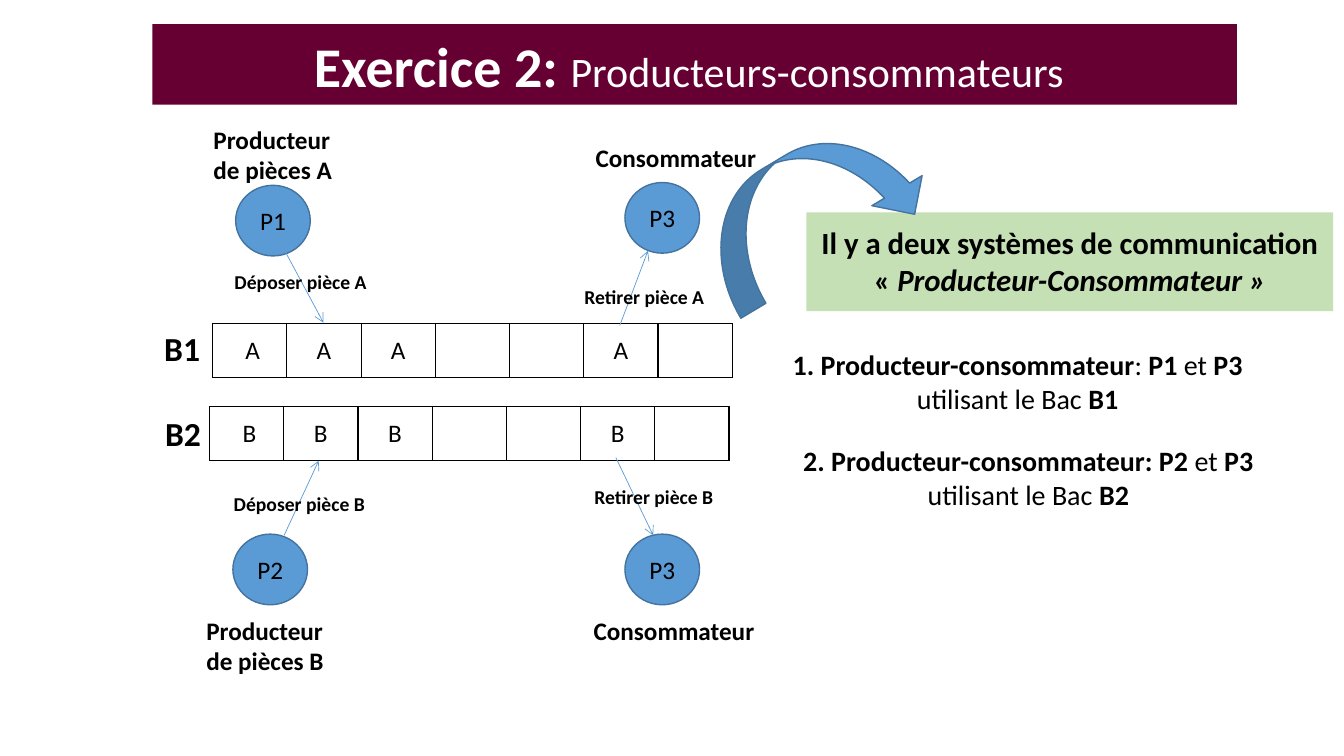
from lxml import etree
from pptx import Presentation
from pptx import util as u
from pptx.dml.color import RGBColor
from pptx.enum import shapes, text
from pptx.oxml import ns


def rgb(value):
    """Turn a hex string into a colour."""
    return RGBColor.from_string(value)


def add_xml(parent, tag, **attrs):
    """Append a DrawingML child element."""
    return etree.SubElement(parent, ns.qn(tag), attrs)


class Board:
    """Hold the style and the current slide."""

    FONT, INK, WHITE = "Calibri", "000000", "FFFFFF"
    BLUE, EDGE, GREEN, PLUM = "5B9BD5", "43739E", "C5E0B4", "660033"

    def __init__(self, slide):
        """Keep the slide to draw on."""
        self.s = slide

    def add_runs(self, tf, runs, size, align=None, color=INK):
        """Put (text, style, size) runs into the first paragraph."""
        tf.word_wrap = True
        p = tf.paragraphs[0]
        p.alignment = align
        for content, style, *own_size in runs:
            r = p.add_run()
            r.text = content
            r.font.name = self.FONT
            r.font.size = u.Pt(own_size[0] if own_size else size)
            r.font.bold = "b" in style
            r.font.italic = "i" in style
            r.font.color.rgb = rgb(color)
        return p

    def title(self, box, runs):
        """Fill the title placeholder as a coloured banner."""
        sp = self.s.shapes.title
        sp.left, sp.top, sp.width, sp.height = map(u.Cm, box)
        sp.fill.solid()
        sp.fill.fore_color.rgb = rgb(self.PLUM)
        tf = sp.text_frame
        tf.auto_size = text.MSO_AUTO_SIZE.NONE
        tf.vertical_anchor = text.MSO_ANCHOR.BOTTOM
        p = self.add_runs(tf, runs, 40, text.PP_ALIGN.CENTER, self.WHITE)
        p.line_spacing = 0.9

    def label(self, box, runs, size, align=text.PP_ALIGN.LEFT):
        """Add a text box."""
        sp = self.s.shapes.add_textbox(*map(u.Cm, box))
        self.add_runs(sp.text_frame, runs, size, align)

    def shape(self, kind, box, fill, edge=None):
        """Add a filled preset shape."""
        sp = self.s.shapes.add_shape(kind, *map(u.Cm, box))
        sp.shadow.inherit = False
        sp.fill.solid()
        sp.fill.fore_color.rgb = rgb(fill)
        if edge:
            sp.line.color.rgb = rgb(edge)
            sp.line.width = u.Pt(1)
        else:
            sp.line.fill.background()
        return sp

    def process(self, name, left, top):
        """Add a process circle."""
        sp = self.shape(shapes.MSO_SHAPE.OVAL, (left, top, 1.88, 1.78), self.BLUE, self.EDGE)
        tf = sp.text_frame
        tf.margin_left = tf.margin_right = 0
        tf.vertical_anchor = text.MSO_ANCHOR.MIDDLE
        self.add_runs(tf, [(name, "")], 18, text.PP_ALIGN.CENTER)

    def callout(self, box, runs):
        """Add the highlighted statement."""
        sp = self.shape(shapes.MSO_SHAPE.RECTANGLE, box, self.GREEN)
        tf = sp.text_frame
        tf.margin_top = tf.margin_bottom = u.Cm(0.3)
        tf.vertical_anchor = text.MSO_ANCHOR.TOP
        self.add_runs(tf, runs, 22, text.PP_ALIGN.CENTER).space_before = u.Pt(6)

    def turn_arrow(self, box, angle):
        """Add a rotated curved arrow."""
        sp = self.shape(shapes.MSO_SHAPE.CURVED_DOWN_ARROW, box, self.BLUE, self.EDGE)
        sp.rotation = angle

    def arrow(self, x1, y1, x2, y2):
        """Add a thin line with an open arrowhead."""
        c = self.s.shapes.add_connector(
            shapes.MSO_CONNECTOR.STRAIGHT, *map(u.Cm, (x1, y1, x2, y2)))
        c.line.color.rgb = rgb(self.BLUE)
        c.line.width = u.Pt(0.5)
        props = c._element.spPr
        add_xml(props.find(ns.qn("a:ln")), "a:tailEnd", type="arrow")
        add_xml(props, "a:effectLst")

    def buffer(self, slots, left, top):
        """Add a one-row table of slots."""
        width, height = 1.87, 1.37
        table = self.s.shapes.add_table(
            1, len(slots), u.Cm(left), u.Cm(top),
            u.Cm(width * len(slots)), u.Cm(height)).table
        for col, slot in enumerate(slots):
            table.columns[col].width = u.Cm(width)
            cell = table.cell(0, col)
            cell.fill.background()
            cell.vertical_anchor = text.MSO_ANCHOR.MIDDLE
            if slot:
                self.add_runs(cell.text_frame, [(slot, "")], 18, text.PP_ALIGN.CENTER)
            self.borders(cell)

    def borders(self, cell):
        """Draw the four cell borders."""
        props = cell._tc.get_or_add_tcPr()
        for i, side in enumerate("LRTB"):
            ln = add_xml(props, "a:ln" + side, w=str(u.Pt(1)))
            add_xml(add_xml(ln, "a:solidFill"), "a:srgbClr", val=self.INK)
            props.insert(i, ln)


def main():
    """Build the producer-consumer slide."""
    prs = Presentation()
    prs.slide_width, prs.slide_height = u.Cm(33.87), u.Cm(19.05)
    board = Board(prs.slides.add_slide(prs.slide_layouts[5]))
    board.title((3.84, 0.61, 27.33, 2.03), [
        ("Exercice 2: ", "b"), ("Producteurs-consommateurs", "", 30), (" ", "", 36)])

    for part, left, top in (("A", 5.36, 8.15), ("B", 5.28, 10.24)):
        board.buffer([f" {part}", part, part, "", "", part, ""], left, top)

    for name, left, top in (("P1", 5.94, 4.67), ("P3", 15.75, 4.6),
                            ("P2", 5.87, 13.46), ("P3", 15.75, 13.46)):
        board.process(name, left, top)

    for ends in ((7.21, 6.38, 8.15, 8.13), (15.62, 8.2, 16.33, 6.32),
                 (7.16, 13.49, 8.03, 11.61), (15.52, 11.53, 16.46, 13.49)):
        board.arrow(*ends)

    for content, size, box in (
            ("Producteur de pièces A", 18, (5.13, 3, 4.04, 1.8)),
            ("Producteur de pièces B", 18, (4.95, 15.37, 4.04, 1.8)),
            ("Consommateur", 18, (14.76, 3.45, 4.57, 1.02)),
            ("Consommateur", 18, (14.71, 15.37, 4.57, 1.02)),
            ("Déposer pièce A", 14, (5.66, 6.68, 5.36, 0.86)),
            ("Déposer pièce B", 14, (5.64, 12.27, 5.36, 0.86)),
            ("Retirer pièce A", 14, (14.48, 7.06, 5.36, 0.86)),
            ("Retirer pièce B", 14, (14.73, 12.09, 5.36, 0.86)),
            ("B1", 24, (3.89, 8.13, 2.06, 1.27)),
            ("B2", 24, (3.91, 10.29, 1.6, 1.27))):
        board.label(box, [(content, "b")], size)

    board.callout((20.32, 5.35, 13.28, 2.49), [
        ("Il y a deux systèmes de communication « ", "b"),
        ("Producteur-Consommateur »", "bi")])
    board.turn_arrow((17.5, 3.78, 5.84, 2.95), 329.1)

    center = text.PP_ALIGN.CENTER
    board.label((19.69, 8.64, 11.91, 1.96), [
        ("1. Producteur-consommateur", "b"), (": ", ""), ("P1 ", "b"), ("et ", ""),
        ("P3", "b"), (" utilisant le Bac ", ""), ("B1", "b")], 20, center)
    board.label((19.96, 11.05, 11.91, 1.96), [
        ("2. Producteur-consommateur: P2 ", "b"), ("et", ""), (" P3 ", "b"),
        ("utilisant le Bac", ""), (" B2", "b")], 20, center)
    prs.save("out.pptx")


if __name__ == "__main__":
    main()
